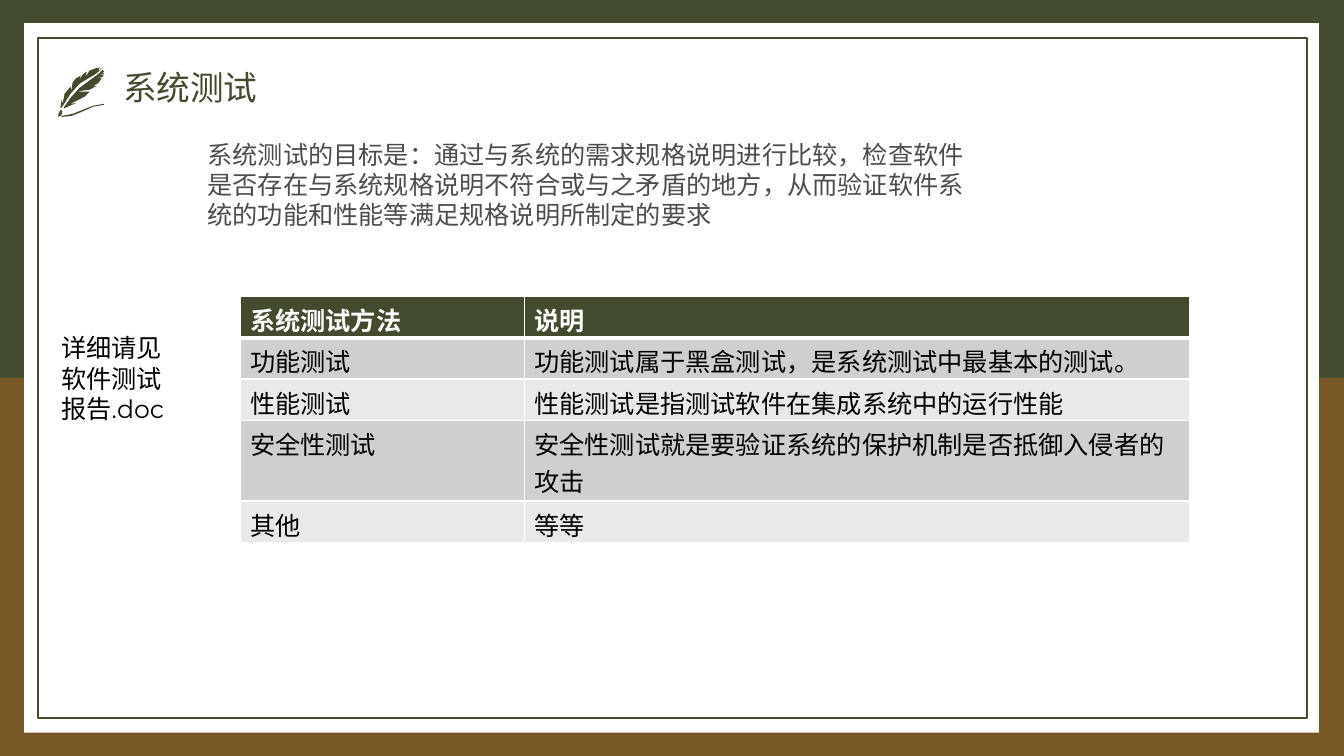
import dataclasses
import typing

import pptx
import pptx.dml.color
import pptx.enum.shapes
import pptx.enum.text
import pptx.oxml
import pptx.oxml.ns
import pptx.util

Inches = pptx.util.Inches
Pt = pptx.util.Pt
RGBColor = pptx.dml.color.RGBColor

GREEN = RGBColor(0x43, 0x4B, 0x2F)
BROWN = RGBColor(0x79, 0x58, 0x27)
WHITE = RGBColor(0xFF, 0xFF, 0xFF)
BLACK = RGBColor(0x00, 0x00, 0x00)
GREY = RGBColor(0x4D, 0x4D, 0x4D)
DARK = RGBColor(0xCF, 0xD0, 0xCD)
LIGHT = RGBColor(0xE9, 0xE9, 0xE8)

Box = tuple[float, float, float, float]
Points = list[tuple[int, int]]


@dataclasses.dataclass
class Panel:
    box: Box
    fill: typing.Optional[RGBColor] = None
    line: typing.Optional[RGBColor] = None


@dataclasses.dataclass
class Note:
    box: Box
    text: str
    font: str
    color: RGBColor


PANELS = [
    Panel((0, 3.75, 13.33, 3.75), fill=BROWN),
    Panel((0, 0, 13.33, 3.75), fill=GREEN),
    Panel((0.24, 0.23, 12.84, 7.04), fill=WHITE),
    Panel((0.38, 0.38, 12.58, 6.74), line=GREEN),
]

NOTES = [
    Note((0.51, 3.25, 1.32, 1.01), "详细请见软件测试报告.doc", "Montserrat", BLACK),
    Note((1.96, 1.33, 7.94, 1.01),
         "系统测试的目标是：通过与系统的需求规格说明进行比较，检查软件是否存在与系统规格说明"
         "不符合或与之矛盾的地方，从而验证软件系统的功能和性能等满足规格说明所制定的要求",
         "Noto Sans CJK SC", GREY),
]

ROWS = [
    ("系统测试方法", "说明"),
    ("功能测试", "功能测试属于黑盒测试，是系统测试中最基本的测试。"),
    ("性能测试", "性能测试是指测试软件在集成系统中的运行性能"),
    ("安全性测试", "安全性测试就是要验证系统的保护机制是否抵御入侵者的攻击"),
    ("其他", "等等"),
]
WIDTHS = (2.82, 6.6)
# The fourth row holds two lines of text
HEIGHTS = (0.41, 0.41, 0.41, 0.8, 0.41)

# Feather outlines, in hundredths of an inch
FEATHER: list[Points] = [
    # upper vane
    [(99, 67), (97, 71), (102, 67), (98, 71), (94, 74), (87, 78), (79, 83),
     (70, 93), (61, 107), (60, 107), (61, 99), (62, 103), (63, 98), (63, 101),
     (64, 93), (70, 86), (71, 90), (72, 82), (75, 78), (80, 75), (79, 79),
     (82, 74), (86, 71), (85, 76), (89, 70), (94, 68)],
    # lower vane
    [(102, 69), (103, 71), (100, 73), (103, 72), (103, 73), (97, 75),
     (103, 74), (102, 76), (94, 78), (101, 77), (98, 82), (93, 84), (97, 83),
     (92, 85), (96, 85), (89, 89), (81, 90), (76, 91), (89, 91), (84, 96),
     (81, 97), (73, 98), (82, 97), (70, 103), (66, 104), (76, 102), (69, 105),
     (65, 107), (63, 107), (70, 97), (79, 87), (90, 79), (98, 73)],
    # nib
    [(60, 109), (62, 110), (61, 114), (58, 116), (58, 113)],
    # ink stroke
    [(103, 103), (103, 104), (92, 106), (81, 111), (71, 115), (61, 116),
     (61, 115), (72, 113), (82, 109), (92, 105)],
]


def style(para, font: str, size: float, color: RGBColor, bold: bool = False) -> None:
    for run in para.runs:
        run.font.name = font
        run.font.size = Pt(size)
        run.font.bold = bold
        run.font.color.rgb = color


def add_panel(slide, panel: Panel) -> None:
    kind = pptx.enum.shapes.MSO_SHAPE.RECTANGLE
    shape = slide.shapes.add_shape(kind, *map(Inches, panel.box))
    shape.shadow.inherit = False
    if panel.fill is None:
        shape.fill.background()
    else:
        shape.fill.solid()
        shape.fill.fore_color.rgb = panel.fill
    if panel.line is None:
        shape.line.fill.background()
    else:
        shape.line.color.rgb = panel.line
        shape.line.width = Pt(1.5)


def add_plume(slide, parts: list[Points]) -> None:
    pen = slide.shapes.build_freeform(*parts[0][0], scale=Inches(0.01))
    pen.add_line_segments(parts[0][1:])
    for part in parts[1:]:
        pen.move_to(*part[0])
        pen.add_line_segments(part[1:])
    shape = pen.convert_to_shape()
    shape.shadow.inherit = False
    shape.fill.solid()
    shape.fill.fore_color.rgb = GREEN
    shape.line.fill.background()


def add_note(slide, note: Note) -> None:
    frame = slide.shapes.add_textbox(*map(Inches, note.box)).text_frame
    frame.word_wrap = True
    frame.auto_size = pptx.enum.text.MSO_AUTO_SIZE.SHAPE_TO_FIT_TEXT
    frame.text = note.text
    style(frame.paragraphs[0], note.font, 18, note.color)


def add_edge(cell, side: str, width: float) -> None:
    props = cell._tc.get_or_add_tcPr()
    props.append(pptx.oxml.parse_xml(
        f'<a:ln{side} {pptx.oxml.ns.nsdecls("a")} w="{Pt(width)}">'
        f'<a:solidFill><a:srgbClr val="{WHITE}"/></a:solidFill></a:ln{side}>'))


def add_grid(slide) -> None:
    box = map(Inches, (2.38, 2.94, sum(WIDTHS), sum(HEIGHTS)))
    table = slide.shapes.add_table(len(ROWS), len(WIDTHS), *box).table
    for col, width in zip(table.columns, WIDTHS):
        col.width = Inches(width)
    for i, (row, height) in enumerate(zip(table.rows, HEIGHTS)):
        row.height = Inches(height)
        head = i == 0
        for cell, text in zip(row.cells, ROWS[i]):
            cell.text = text
            style(cell.text_frame.paragraphs[0], "Montserrat", 18,
                  WHITE if head else BLACK, head)
            for side in "LRTB":
                thick = (i, side) in ((0, "B"), (1, "T"))
                add_edge(cell, side, 3 if thick else 1)
            cell.fill.solid()
            cell.fill.fore_color.rgb = GREEN if head else DARK if i % 2 else LIGHT


def set_title(slide, text: str) -> None:
    title = slide.shapes.title
    title.left, title.top, title.width, title.height = map(
        Inches, (1.12, 0.65, 6, 0.48))
    frame = title.text_frame
    frame.text = text
    frame.vertical_anchor = pptx.enum.text.MSO_ANCHOR.MIDDLE
    para = frame.paragraphs[0]
    para.alignment = pptx.enum.text.PP_ALIGN.LEFT
    para.line_spacing = 0.9
    style(para, "Arial", 24, GREEN)
    # Bring the title in front of the frame
    title.element.getparent().append(title.element)


def main() -> None:
    deck = pptx.Presentation()
    deck.slide_width, deck.slide_height = Inches(13.33), Inches(7.5)
    slide = deck.slides.add_slide(deck.slide_layouts[5])
    # Frame and feather
    for panel in PANELS:
        add_panel(slide, panel)
    add_plume(slide, FEATHER)
    # Text and table
    set_title(slide, "系统测试")
    for note in NOTES:
        add_note(slide, note)
    add_grid(slide)
    deck.save("out.pptx")


if __name__ == "__main__":
    main()
